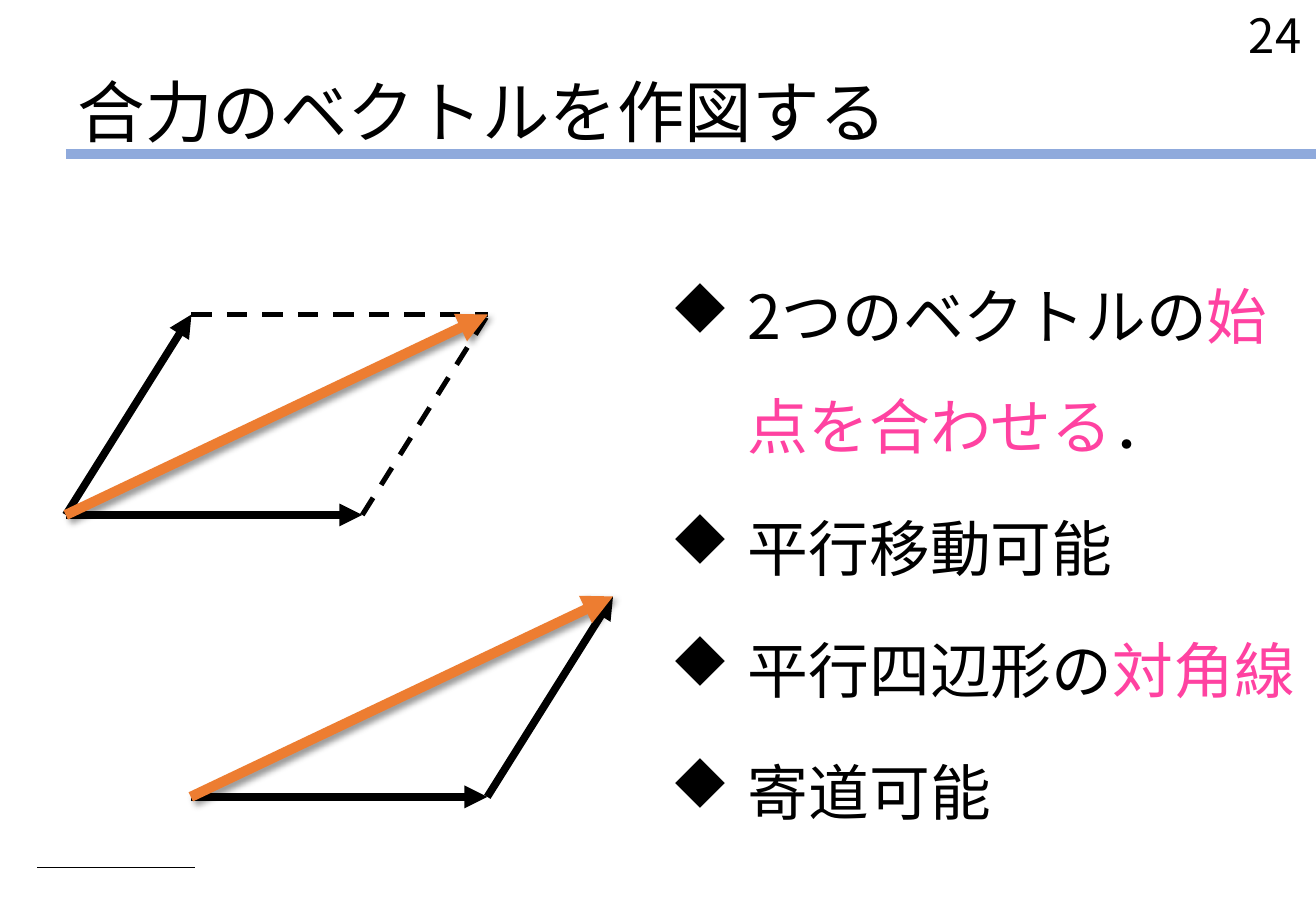
from dataclasses import dataclass
from typing import Any

import lxml.etree
import pptx
import pptx.dml.color
import pptx.enum.dml
import pptx.enum.shapes
import pptx.enum.text
import pptx.oxml.ns
import pptx.util

RGB = pptx.dml.color.RGBColor
ALIGN = pptx.enum.text.PP_ALIGN
ANCHOR = pptx.enum.text.MSO_ANCHOR
DASH = pptx.enum.dml.MSO_LINE.DASH

BLACK = RGB(0x00, 0x00, 0x00)
BLUE = RGB(0x8F, 0xAA, 0xDC)
ORANGE = RGB(0xED, 0x7D, 0x31)
PINK = RGB(0xFF, 0x42, 0xA1)
FONT_JP = "Noto Sans CJK JP"
FONT_KR = "Noto Sans CJK KR"

W = pptx.util.Inches(10.83)
H = pptx.util.Inches(7.5)

Point = tuple[float, float]


@dataclass(frozen=True)
class Stroke:
    color: RGB
    width: float
    dash: Any = None
    arrow: bool = False
    shadow: bool = False


@dataclass(frozen=True)
class Segment:
    start: Point
    end: Point
    stroke: Stroke


@dataclass(frozen=True)
class Span:
    text: str
    color: RGB = BLACK
    font: str = FONT_JP


RULE = Stroke(BLUE, 6)
HAIRLINE = Stroke(BLACK, 0.75)
FORCE = Stroke(BLACK, 4.5, arrow=True)
GUIDE = Stroke(BLACK, 3, dash=DASH)
RESULTANT = Stroke(ORANGE, 6, arrow=True, shadow=True)

FORCE_A: Point = (22.53, 0)
FORCE_B: Point = (9.55, -22)

BULLETS = [
    [Span("2", font=FONT_KR), Span("つのベクトルの"), Span("始点を合わせる", PINK), Span("．")],
    [Span("平行移動可能")],
    [Span("平行四辺形の"), Span("対角線", PINK)],
    [Span("寄道可能")],
]


def col(share: float) -> int:
    return round(W * share / 100)


def row(share: float) -> int:
    return round(H * share / 100)


def add(p: Point, q: Point) -> Point:
    return p[0] + q[0], p[1] + q[1]


def child(parent: Any, tag: str, **attrs: str) -> Any:
    return lxml.etree.SubElement(parent, pptx.oxml.ns.qn(tag), attrs)


def apply(target: Any, values: dict[str, Any]) -> None:
    for name, value in values.items():
        setattr(target, name, value)


def place(s: Any, left: float, top: float, width: float, height: float) -> None:
    apply(s, {"left": col(left), "top": row(top), "width": col(width), "height": row(height)})


def draw(shapes: Any, seg: Segment) -> None:
    c = shapes.add_connector(
        pptx.enum.shapes.MSO_CONNECTOR.STRAIGHT,
        col(seg.start[0]), row(seg.start[1]), col(seg.end[0]), row(seg.end[1]),
    )
    stroke = seg.stroke
    c.line.color.rgb = stroke.color
    c.line.width = pptx.util.Pt(stroke.width)
    if stroke.dash:
        c.line.dash_style = stroke.dash
    if stroke.arrow:
        child(c.line._get_or_add_ln(), "a:tailEnd", type="triangle")
    effects = child(c._element.spPr, "a:effectLst")
    if stroke.shadow:
        shadow = child(effects, "a:outerShdw", blurRad="50800", dist="38100",
                       dir="2700000", algn="tl", rotWithShape="0")
        child(child(shadow, "a:srgbClr", val=str(BLACK)), "a:alpha", val="40000")


def write(p: Any, span: Span, size: float) -> None:
    r = p.add_run()
    r.text = span.text
    apply(r.font, {"size": pptx.util.Pt(size), "name": span.font})
    r.font.color.rgb = span.color
    child(r._r.get_or_add_rPr(), "a:ea", typeface=span.font)


def add_bullet(p: Any) -> None:
    pPr = p._p.get_or_add_pPr()
    indent = pptx.util.Inches(0.64)
    pPr.set("marL", str(indent))
    pPr.set("indent", str(-indent))
    child(child(pPr, "a:buClr"), "a:srgbClr", val=str(BLACK))
    child(pPr, "a:buFont", typeface="Wingdings", pitchFamily="2", charset="2")
    child(pPr, "a:buChar", char="u")


def fill_title(s: Any) -> None:
    place(s, 5, 5.33, 95, 11.87)
    tf = s.text_frame
    apply(tf, {"word_wrap": True, "auto_size": pptx.enum.text.MSO_AUTO_SIZE.NONE,
               "vertical_anchor": ANCHOR.BOTTOM})
    p = tf.paragraphs[0]
    p.alignment = ALIGN.LEFT
    write(p, Span("合力のベクトルを作図する", font=FONT_KR), 40)


def fill_body(s: Any) -> None:
    place(s, 50, 17.47, 50, 82.53)
    tf = s.text_frame
    apply(tf, {"word_wrap": True, "auto_size": pptx.enum.text.MSO_AUTO_SIZE.NONE,
               "vertical_anchor": ANCHOR.MIDDLE})
    for i, spans in enumerate(BULLETS):
        p = tf.add_paragraph() if i else tf.paragraphs[0]
        add_bullet(p)
        apply(p, {"line_spacing": 1.5, "space_before": pptx.util.Pt(7.5 if i else 0)})
        for span in spans:
            write(p, span, 36)


def add_page_number(shapes: Any) -> None:
    s = shapes.add_textbox(0, 0, 0, 0)
    place(s, 89.25, 0, 10.53, 8.8)
    tf = s.text_frame
    tf.word_wrap = True
    p = tf.paragraphs[0]
    p.alignment = ALIGN.RIGHT
    write(p, Span("24", font=FONT_KR), 28)


def parallelogram(origin: Point) -> list[Segment]:
    a, b = add(origin, FORCE_A), add(origin, FORCE_B)
    tip = add(a, FORCE_B)
    return [Segment(origin, a, FORCE), Segment(origin, b, FORCE), Segment(a, tip, GUIDE),
            Segment(b, tip, GUIDE), Segment(origin, tip, RESULTANT)]


def triangle(origin: Point) -> list[Segment]:
    a = add(origin, FORCE_A)
    tip = add(a, FORCE_B)
    return [Segment(origin, a, FORCE), Segment(a, tip, FORCE), Segment(origin, tip, RESULTANT)]


def main() -> None:
    prs = pptx.Presentation()
    apply(prs, {"slide_width": W, "slide_height": H})
    slide = prs.slides.add_slide(prs.slide_layouts[1])
    fill_title(slide.shapes.title)
    fill_body(slide.placeholders[1])
    rules = [Segment((5, 16.93), (100, 16.93), RULE),
             Segment((14.82, 95.2), (2.82, 95.2), HAIRLINE)]
    for seg in rules + parallelogram((5, 56.53)) + triangle((14.5, 87.47)):
        draw(slide.shapes, seg)
    add_page_number(slide.shapes)
    prs.save("out.pptx")


if __name__ == "__main__":
    main()
